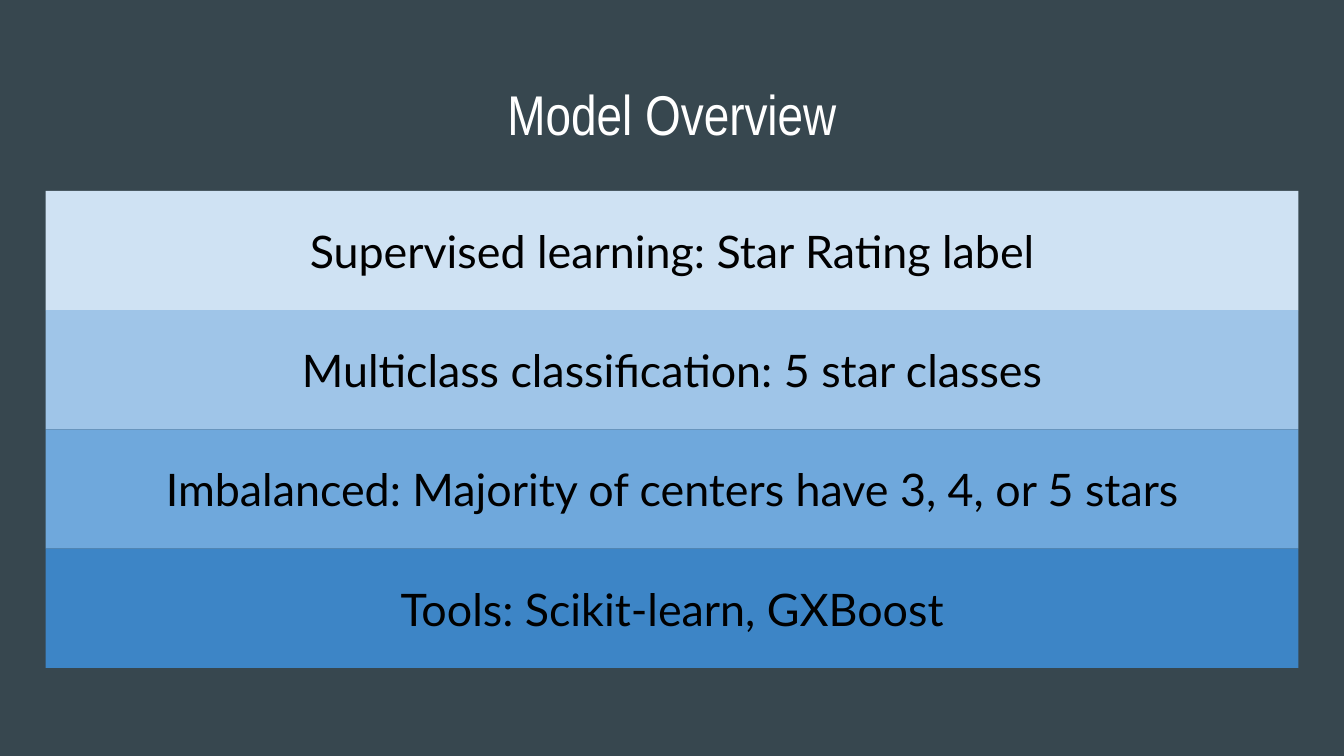
from typing import NamedTuple

from pptx import Presentation
from pptx import util as u
from pptx.dml.color import RGBColor
from pptx.enum import shapes, text

COLORS = {
    "background": "37474F",
    "white": "FFFFFF",
    "black": "000000",
    "pale": "CFE2F3",
    "light": "9FC5E8",
    "medium": "6FA8DC",
    "strong": "3D85C6",
}
PAGE_WIDTH = 10
PAGE_HEIGHT = PAGE_WIDTH * 9 / 16
LEFT, WIDTH = 0.34, 9.32


class Band(NamedTuple):
    label: str
    fill: str


BANDS = [
    Band("Supervised learning: Star Rating label", "pale"),
    Band("Multiclass classification: 5 star classes", "light"),
    Band("Imbalanced: Majority of centers have 3, 4, or 5 stars", "medium"),
    Band("Tools: Scikit-learn, GXBoost", "strong"),
]
BANDS_TOP, BANDS_BOTTOM = 1.42, 4.97
BAND_HEIGHT = (BANDS_BOTTOM - BANDS_TOP) / len(BANDS)


def color(name: str) -> RGBColor:
    return RGBColor.from_string(COLORS[name])


def write(box, label: str, font: str, size: int, ink: str, anchor) -> None:
    frame = box.text_frame
    margin = u.Inches(0.1)
    frame_format = {
        "word_wrap": True,
        "vertical_anchor": anchor,
        "margin_left": margin,
        "margin_right": margin,
        "margin_top": margin,
        "margin_bottom": margin,
    }
    for name, value in frame_format.items():
        setattr(frame, name, value)
    para = frame.paragraphs[0]
    para.alignment = text.PP_ALIGN.CENTER
    span = para.add_run()
    span.text = label
    for name, value in {"name": font, "size": u.Pt(size)}.items():
        setattr(span.font, name, value)
    span.font.color.rgb = color(ink)


def draw_title(page, label: str) -> None:
    box = page.shapes.add_textbox(
        u.Inches(LEFT), u.Inches(0.49), u.Inches(WIDTH), u.Inches(0.63)
    )
    write(box, label, "Arial Narrow", 30, "white", text.MSO_ANCHOR.TOP)


def draw_band(page, band: Band, row: int) -> None:
    box = page.shapes.add_shape(
        shapes.MSO_SHAPE.RECTANGLE,
        u.Inches(LEFT),
        u.Inches(BANDS_TOP + row * BAND_HEIGHT),
        u.Inches(WIDTH),
        u.Inches(BAND_HEIGHT),
    )
    box.shadow.inherit = False
    box.fill.solid()
    box.fill.fore_color.rgb = color(band.fill)
    box.line.fill.background()
    write(box, band.label, "Lato", 24, "black", text.MSO_ANCHOR.MIDDLE)


def main() -> None:
    deck = Presentation()
    deck.slide_width = u.Inches(PAGE_WIDTH)
    deck.slide_height = u.Inches(PAGE_HEIGHT)
    page = deck.slides.add_slide(deck.slide_layouts[6])
    page.background.fill.solid()
    page.background.fill.fore_color.rgb = color("background")
    draw_title(page, "Model Overview")
    for row, band in enumerate(BANDS):
        draw_band(page, band, row)
    deck.save("out.pptx")


if __name__ == "__main__":
    main()
